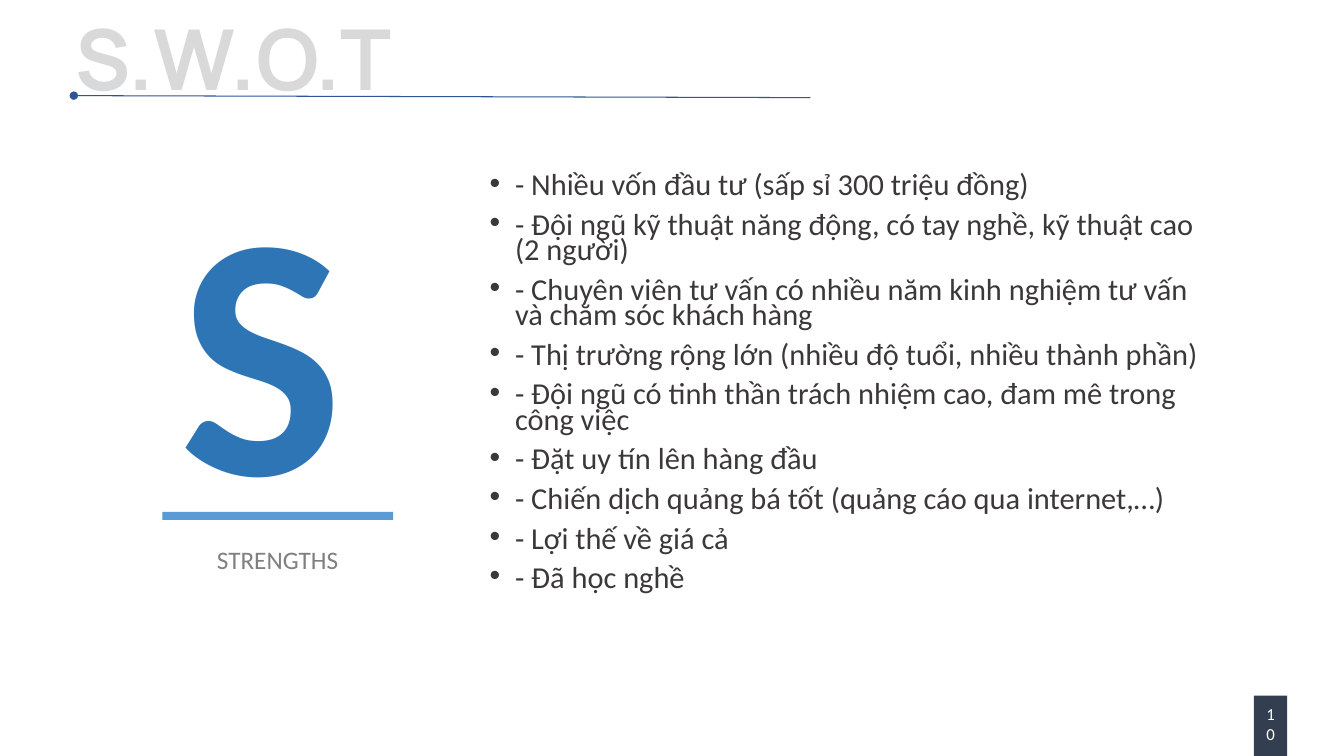
from lxml import etree
from pptx import Presentation
from pptx.dml.color import RGBColor
from pptx.enum.shapes import MSO_CONNECTOR, MSO_SHAPE
from pptx.enum.text import MSO_ANCHOR, PP_ALIGN
from pptx.oxml.ns import qn
from pptx.util import Cm, Pt

LEFT, CENTER = PP_ALIGN.LEFT, PP_ALIGN.CENTER
RECT, STRAIGHT, TOP = MSO_SHAPE.RECTANGLE, MSO_CONNECTOR.STRAIGHT, MSO_ANCHOR.TOP

# Content
TITLE = "S.W.O.T"
LETTER, CAPTION = "S", "STRENGTHS"
PAGE = "10"
STRENGTHS = [
    "- Nhiều vốn đầu tư (sấp sỉ 300 triệu đồng)",
    "- Đội ngũ kỹ thuật năng động, có tay nghề, kỹ thuật cao (2 người)",
    "- Chuyên viên tư vấn có nhiều năm kinh nghiệm tư vấn và chăm sóc khách hàng",
    "- Thị trường rộng lớn (nhiều độ tuổi, nhiều thành phần)",
    "- Đội ngũ có tinh thần trách nhiệm cao, đam mê trong công việc",
    "- Đặt uy tín lên hàng đầu",
    "- Chiến dịch quảng bá tốt (quảng cáo qua internet,…)",
    "- Lợi thế về giá cả",
    "- Đã học nghề",
]
COLORS = {"title": "D9D9D9", "rule": "2F5597", "page": "333F50", "white": "FFFFFF",
          "letter": "2E75B6", "bar": "5B9BD5", "caption": "808080", "body": "3B3838"}
INSETS = (0.25, 0.13, 0.25, 0.13)  # left, top, right, bottom in cm
INDENT = Cm(0.64)


def rgb(name):
    return RGBColor.from_string(COLORS[name])


def add_bullet(p):
    pPr = p._p.get_or_add_pPr()
    pPr.set("marL", str(INDENT))
    pPr.set("indent", str(-INDENT))
    etree.SubElement(pPr, qn("a:buFont")).set("typeface", "Arial")
    etree.SubElement(pPr, qn("a:buChar")).set("char", "•")


def write(sp, lines, size, color, font="Calibri", bold=False, align=LEFT,
          spacing=1.0, before=0, insets=INSETS, wrap=True, bullets=False):
    tf = sp.text_frame
    tf.word_wrap, tf.vertical_anchor = wrap, TOP
    tf.margin_left, tf.margin_top, tf.margin_right, tf.margin_bottom = map(Cm, insets)
    for i, line in enumerate(lines):
        p = tf.add_paragraph() if i else tf.paragraphs[0]
        p.alignment, p.line_spacing, p.space_before = align, spacing, Pt(before)
        if bullets:
            add_bullet(p)
        r = p.add_run()
        r.text = line
        r.font.name, r.font.size, r.font.bold = font, Pt(size), bold
        r.font.color.rgb = rgb(color)


def add_text(box, lines, size, color, **fmt):
    write(slide.shapes.add_textbox(*map(Cm, box)), lines, size, color, **fmt)


def add_bar(box, color):
    sp = slide.shapes.add_shape(RECT, *map(Cm, box))
    sp.shadow.inherit = False
    sp.fill.solid()
    sp.fill.fore_color.rgb = rgb(color)
    sp.line.fill.background()
    return sp


prs = Presentation()
prs.slide_width, prs.slide_height = Cm(33.87), Cm(19.05)
slide = prs.slides.add_slide(prs.slide_layouts[6])

# Title with its dotted rule
add_text((1.9, 0.46, 18.24, 3.84), [TITLE], 60, "title", font="Manrope", bold=True,
         spacing=0.9, before=10, insets=(0, 0, 0, 0), wrap=False)
rule = slide.shapes.add_connector(STRAIGHT, *map(Cm, (1.86, 2.41, 20.42, 2.46)))
rule.line.color.rgb, rule.line.width = rgb("rule"), Pt(0.75)
etree.SubElement(rule.line._get_or_add_ln(), qn("a:headEnd")).set("type", "oval")
etree.SubElement(rule._element.spPr, qn("a:effectLst"))

# Page number
write(add_bar((31.6, 17.53, 0.84, 1.52), "page"), [PAGE], 12, "white", align=CENTER,
      insets=(0.25, 0.2, 0.25, 0.13))

# Big letter, bar and caption
add_text((4.27, 4.29, 5.41, 8.59), [LETTER], 248, "letter", bold=True,
         spacing=0.9, before=20)
add_bar((4.09, 12.9, 5.82, 0.2), "bar")
add_text((5, 13.74, 3.99, 0.94), [CAPTION], 18, "caption", align=CENTER,
         spacing=0.8, before=20)

# List of strengths
add_text((12.09, 4.29, 18.36, 12.52), STRENGTHS, 21.7, "body",
         spacing=0.7, before=10, bullets=True)

prs.save("out.pptx")
